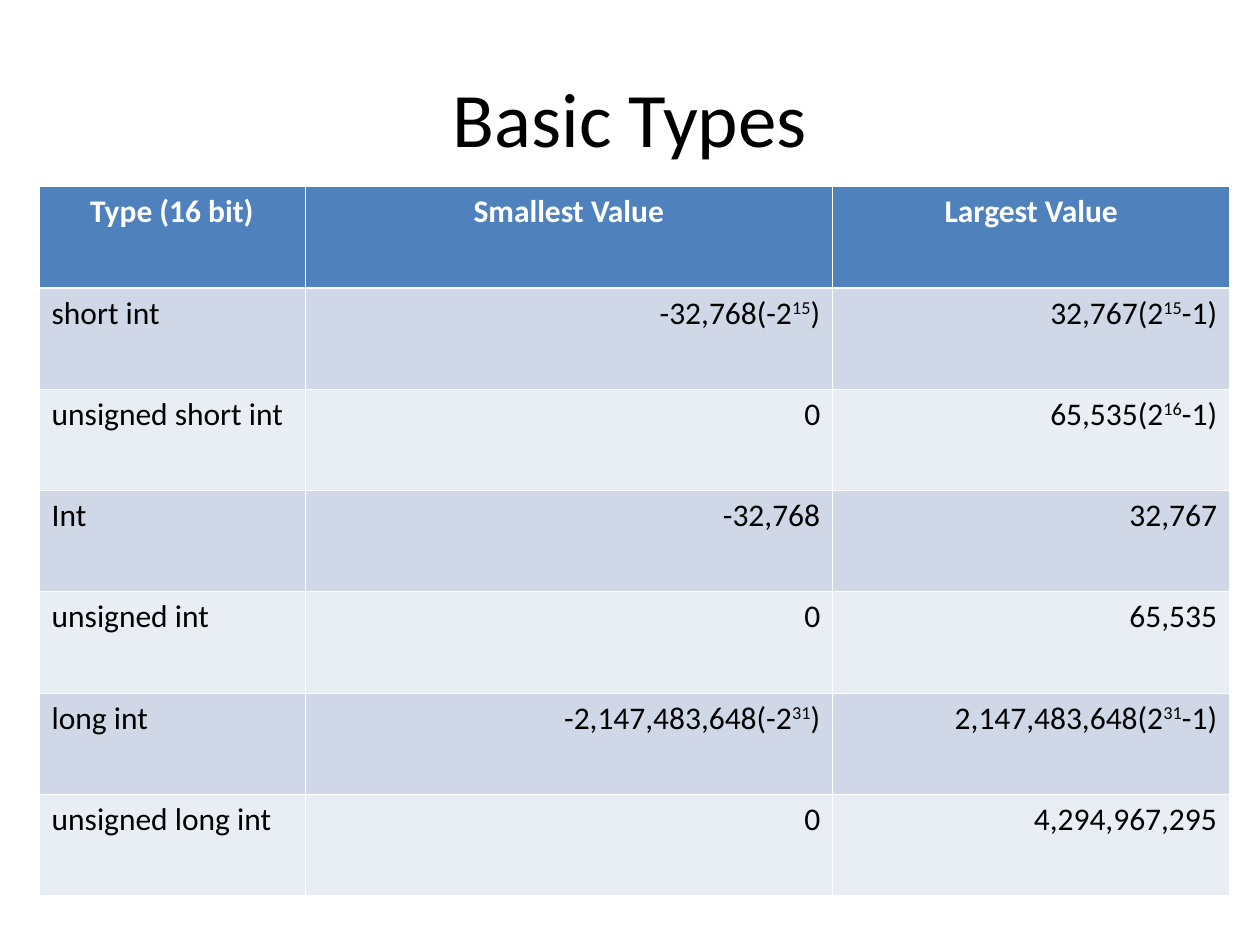
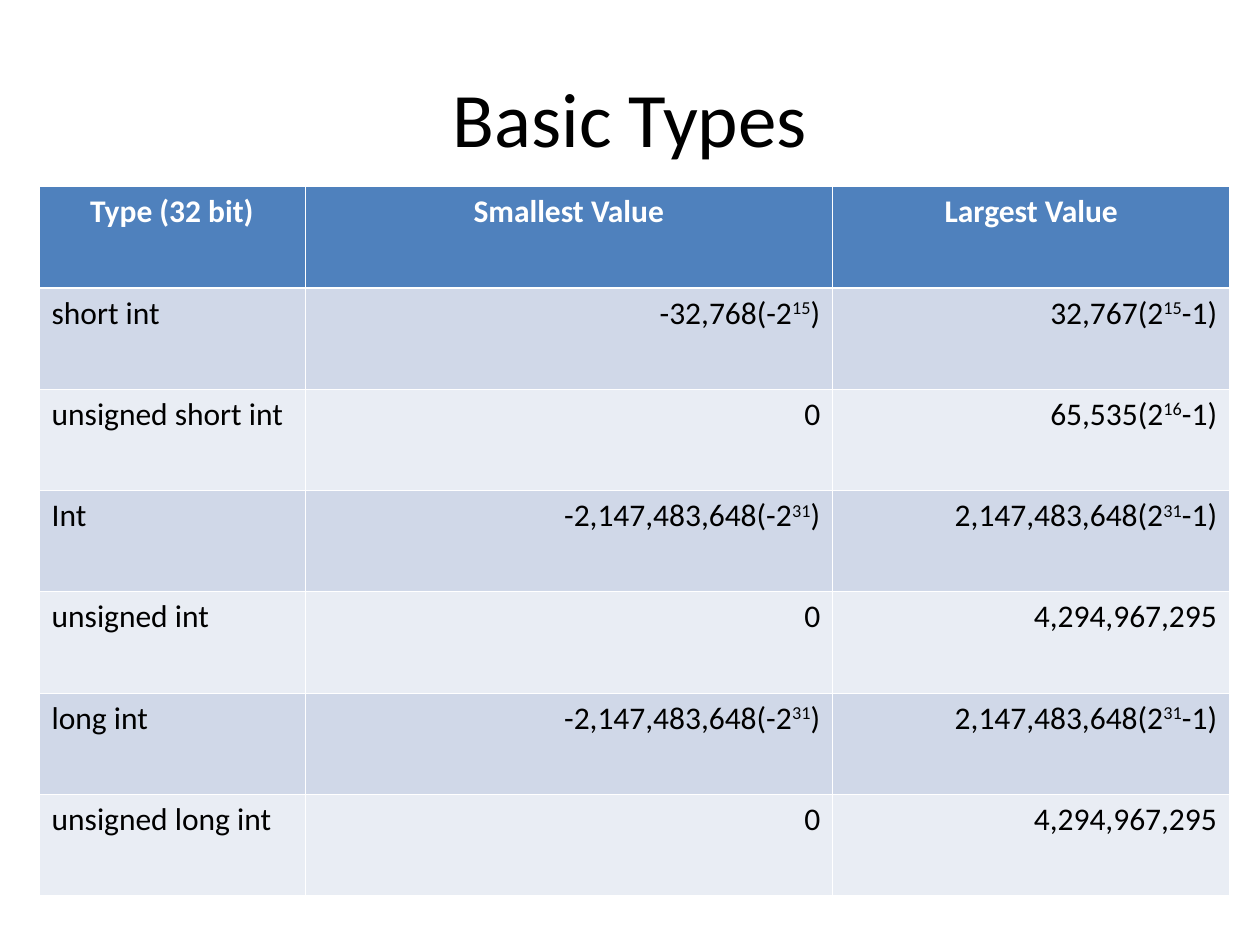
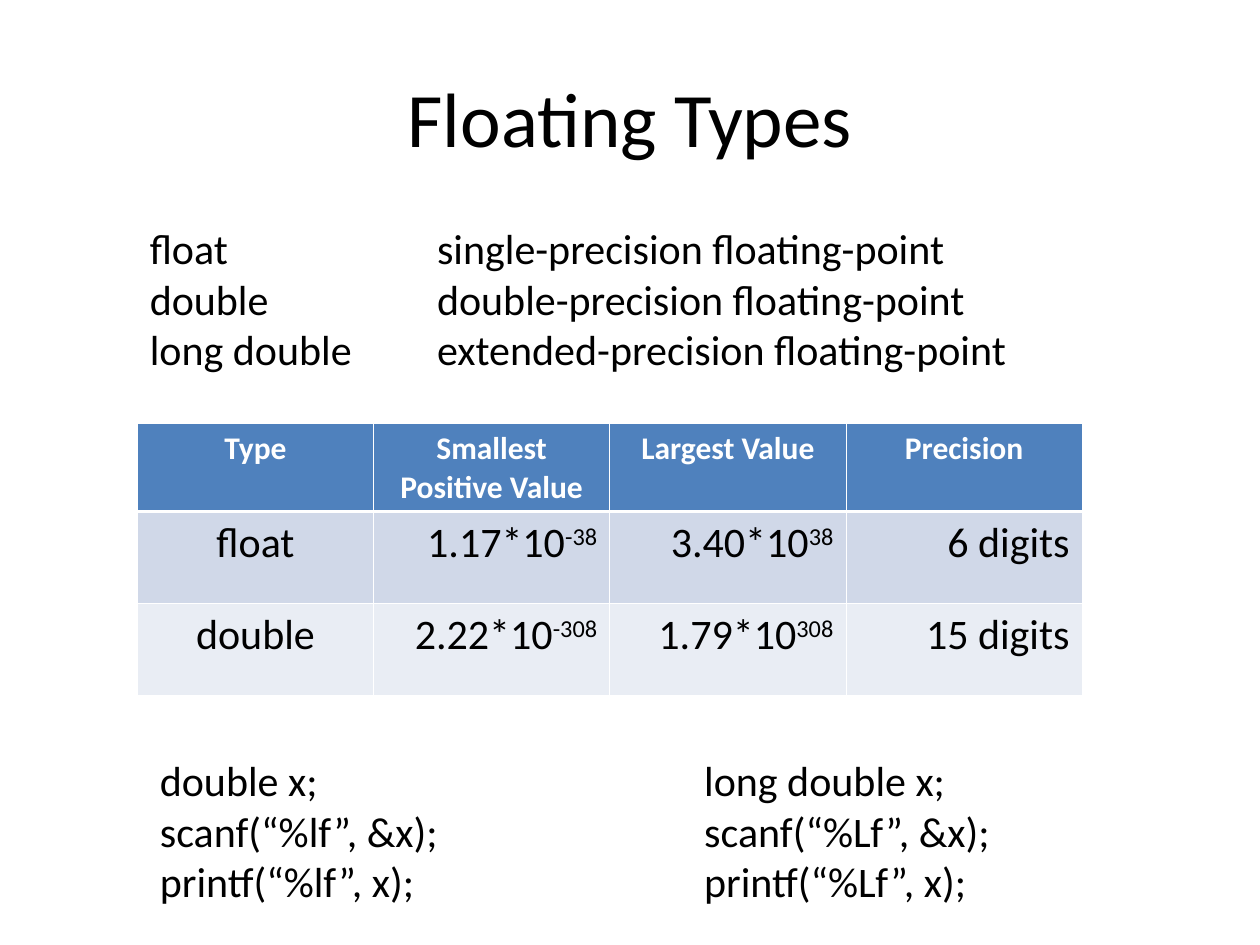
from dataclasses import dataclass

from lxml.etree import SubElement
from pptx import Presentation
from pptx.dml.color import RGBColor
from pptx.enum.text import MSO_ANCHOR, PP_ALIGN
from pptx.oxml.ns import qn
from pptx.util import Inches, Pt


@dataclass(frozen=True)
class Theme:
    font: str = "Calibri"
    ink: str = "000000"
    white: str = "FFFFFF"
    header: str = "4F81BD"
    bands: tuple = ("D0D8E8", "E9EDF4")
    title: int = 44
    body: int = 24
    table: int = 18
    rule: float = 0.45
    header_rule: float = 1.47


T = Theme()
WIDTH, HEIGHT = 10, 7.5
LEFT, CENTER, RIGHT = PP_ALIGN.LEFT, PP_ALIGN.CENTER, PP_ALIGN.RIGHT

# Text between carets is raised: 2^15^ is two to the fifteenth.
SHORT = [
    ("short int", "-32,768(-2^15^)", "32,767(2^15^-1)"),
    ("unsigned short int", "0", "65,535(2^16^-1)"),
]
LONG_RANGE = ("-2,147,483,648(-2^31^)", "2,147,483,648(2^31^-1)")
UNSIGNED_LONG_RANGE = ("0", "4,294,967,295")
LONG = [("long int", *LONG_RANGE), ("unsigned long int", *UNSIGNED_LONG_RANGE)]
INT_RANGES = {
    16: [("Int", "-32,768", "32,767"), ("unsigned int", "0", "65,535")],
    32: [("Int", *LONG_RANGE), ("unsigned int", *UNSIGNED_LONG_RANGE)],
}
FLOAT_NAMES = [
    "float\tsingle-precision floating-point",
    "double\tdouble-precision floating-point",
    "long double\textended-precision floating-point",
]
FLOAT_TABLE = [
    ("Type", "Smallest Positive Value", "Largest Value", "Precision"),
    ("float", "1.17*10^-38^", "3.40*10^38^", "6 digits"),
    ("double", "2.22*10^-308^", "1.79*10^308^", "15 digits"),
]
FLOAT_CODE = [
    "double x;\tlong double x;",
    "scanf(“%lf”, &x);\tscanf(“%Lf”, &x);",
    "printf(“%lf”, x);\tprintf(“%Lf”, x);",
]


def write(tf, lines, size=T.body, color=T.ink, bold=False, align=LEFT, tab=None):
    tf.word_wrap = True
    for i, line in enumerate(lines):
        p = tf.paragraphs[0] if i == 0 else tf.add_paragraph()
        p.alignment = align
        if tab:
            tabs = SubElement(p._p.get_or_add_pPr(), qn("a:tabLst"))
            SubElement(tabs, qn("a:tab"), pos=str(Inches(tab)), algn="l")
        for j, part in enumerate(line.split("^")):
            if not part:
                continue
            r = p.add_run()
            r.text = part
            r.font.name, r.font.size, r.font.bold = T.font, Pt(size), bold
            r.font.color.rgb = RGBColor.from_string(color)
            if j % 2:
                r._r.get_or_add_rPr().set("baseline", "30000")


def add_text(s, box, lines, anchor=MSO_ANCHOR.TOP, **style):
    tf = s.shapes.add_textbox(*map(Inches, box)).text_frame
    tf.vertical_anchor = anchor
    write(tf, lines, **style)


def add_borders(cell, row):
    """Thin white rules, with a heavier one under the header row."""
    heavy_side = {0: "B", 1: "T"}.get(row)
    for side in "LRTB":
        width = T.header_rule if side == heavy_side else T.rule
        ln = SubElement(cell._tc.get_or_add_tcPr(), qn(f"a:ln{side}"), w=str(Pt(width)))
        SubElement(SubElement(ln, qn("a:solidFill")), qn("a:srgbClr"), val=T.white)


def add_value_table(s, left, top, cols, heights, rows, size=T.table, first_align=LEFT):
    frame = s.shapes.add_table(len(rows), len(cols), Inches(left), Inches(top),
                               Inches(sum(cols)), Inches(sum(heights)))
    table = frame.table
    table.horz_banding = False
    for column, width in zip(table.columns, cols):
        column.width = Inches(width)
    for i, (values, height) in enumerate(zip(rows, heights)):
        table.rows[i].height = Inches(height)
        for j, value in enumerate(values):
            cell = table.cell(i, j)
            add_borders(cell, i)
            cell.fill.solid()
            fill = T.bands[(i - 1) % 2] if i else T.header
            cell.fill.fore_color.rgb = RGBColor.from_string(fill)
            if i == 0:
                write(cell.text_frame, [value], size=T.table, color=T.white,
                      bold=True, align=CENTER)
            else:
                write(cell.text_frame, [value], size=size,
                      align=RIGHT if j else first_align)


def add_titled_slide(prs, title):
    s = prs.slides.add_slide(prs.slide_layouts[6])
    margin = WIDTH * 0.05
    add_text(s, (margin, HEIGHT * 0.04, WIDTH - 2 * margin, HEIGHT / 6), [title],
             anchor=MSO_ANCHOR.MIDDLE, size=T.title, align=CENTER)
    return s


def main():
    prs = Presentation()
    prs.slide_width, prs.slide_height = Inches(WIDTH), Inches(HEIGHT)

    for bits, int_rows in INT_RANGES.items():
        s = add_titled_slide(prs, "Basic Types")
        header = (f"Type ({bits} bit)", "Smallest Value", "Largest Value")
        rows = [header, *SHORT, *int_rows, *LONG]
        add_value_table(s, 0.31, 1.48, (2.11, 4.19, 3.15),
                        [5.63 / len(rows)] * len(rows), rows)

    s = add_titled_slide(prs, "Floating Types")
    add_text(s, (1.09, 1.72, 7.89, 1.3), FLOAT_NAMES, tab=2.28)
    add_value_table(s, 1.09, 3.36, [7.5 / 4] * 4, (0.7, 0.73, 0.73), FLOAT_TABLE,
                    size=T.body, first_align=CENTER)
    add_text(s, (1.17, 5.94, 7.89, 1.3), FLOAT_CODE, tab=4.32)

    prs.save("out.pptx")


if __name__ == "__main__":
    main()
